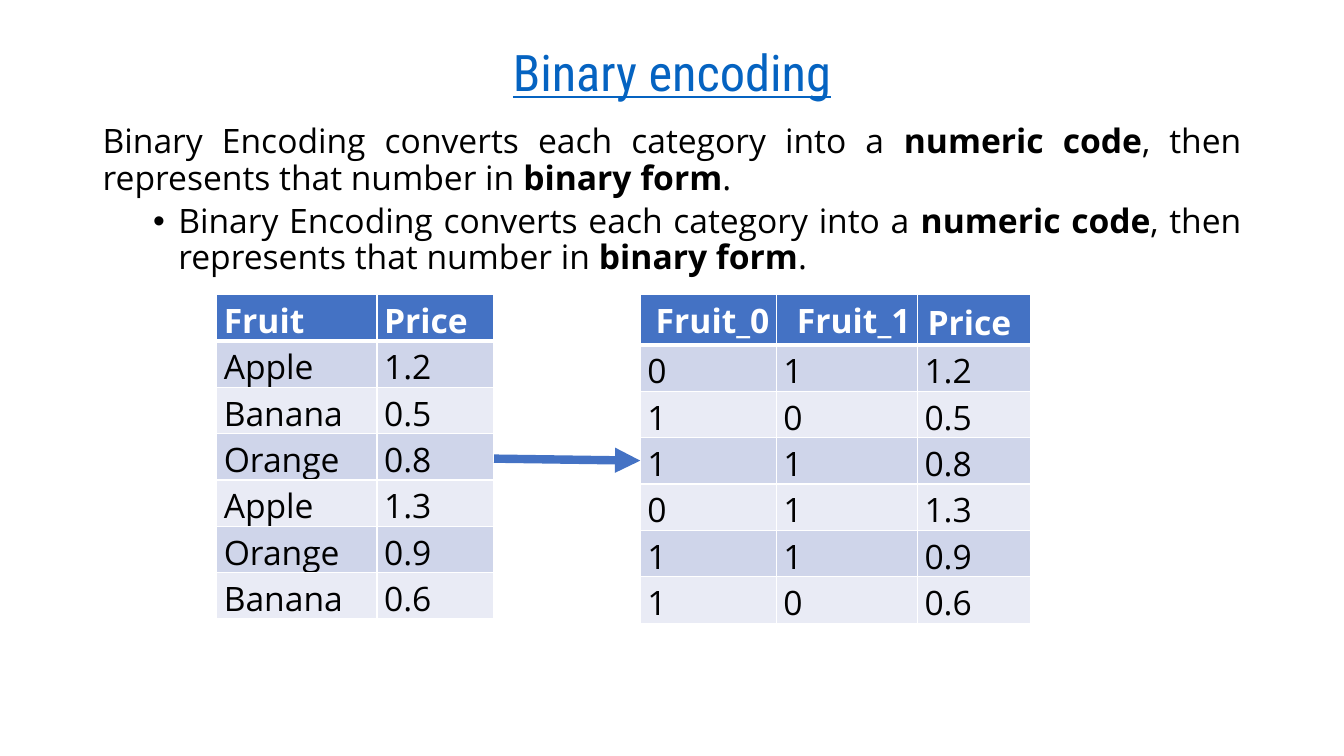
from lxml import etree
from pptx import Presentation
from pptx.dml.color import RGBColor
from pptx.enum.shapes import MSO_CONNECTOR
from pptx.enum.text import MSO_ANCHOR, PP_ALIGN
from pptx.oxml.ns import qn
from pptx.util import Inches, Pt

STRAIGHT = MSO_CONNECTOR.STRAIGHT
MIDDLE, TOP = MSO_ANCHOR.MIDDLE, MSO_ANCHOR.TOP
LEFT, CENTER, RIGHT, JUSTIFY = PP_ALIGN.LEFT, PP_ALIGN.CENTER, PP_ALIGN.RIGHT, PP_ALIGN.JUSTIFY
WHITE = RGBColor(0xFF, 0xFF, 0xFF)
BLACK = RGBColor(0, 0, 0)
LINK_BLUE = RGBColor(0x05, 0x63, 0xC1)
HEADER_BLUE = RGBColor(0x44, 0x72, 0xC4)
BANDS = (RGBColor(0xCF, 0xD5, 0xEA), RGBColor(0xE9, 0xEB, 0xF5))
TITLE_FONT, BODY_FONT = "Roboto Condensed", "Open Sans"

WIDTH, HEIGHT = 13.33, 7.5
MARGIN, TABLE_TOP, ROW_HEIGHT = 0.92, 2.92, 0.41
CONTENT_WIDTH = WIDTH - 2 * MARGIN

DEFINITION = (
    ("Binary Encoding converts each category into a ", False),
    ("numeric code", True),
    (", then represents that number in ", False),
    ("binary form", True),
    (".", False),
)
SALES = (("Apple", "1.2"), ("Banana", "0.5"), ("Orange", "0.8"),
         ("Apple", "1.3"), ("Orange", "0.9"), ("Banana", "0.6"))
CODES = {"Apple": ("0", "1"), "Banana": ("1", "0"), "Orange": ("1", "1")}
FRUIT_ROWS = [("Fruit", "Price"), *SALES]
ENCODED_ROWS = [("Fruit_0", "Fruit_1", "Price")]
ENCODED_ROWS += [(*CODES[fruit], price) for fruit, price in SALES]


def write(para, text, font=BODY_FONT, size=24, color=BLACK, bold=False, underline=False):
    span = para.add_run()
    span.text = text
    span.font.name = font
    span.font.size = Pt(size)
    span.font.color.rgb = color
    span.font.bold = bold
    span.font.underline = underline


def add_frame(page, left, top, width, height, anchor):
    box = page.shapes.add_textbox(Inches(left), Inches(top), Inches(width), Inches(height))
    box.text_frame.word_wrap = True
    box.text_frame.vertical_anchor = anchor
    return box.text_frame


def add_title(page, left, top, width, height):
    para = add_frame(page, left, top, width, height, MIDDLE).paragraphs[0]
    para.alignment = CENTER
    para.line_spacing = 0.9
    write(para, "Binary encoding", font=TITLE_FONT, size=36, color=LINK_BLUE, underline=True)


def add_bullet(para, left, hanging):
    para.level = 1
    props = para._p.get_or_add_pPr()
    props.set("marL", str(Inches(left)))
    props.set("indent", str(-Inches(hanging)))
    etree.SubElement(props, qn("a:buFont"), typeface="Arial")
    etree.SubElement(props, qn("a:buChar"), char="•")


def add_definitions(page, left, top, width, height):
    frame = add_frame(page, left, top, width, height, TOP)
    intro, point = frame.paragraphs[0], frame.add_paragraph()
    for para, space in ((intro, 10), (point, 5)):
        para.alignment = JUSTIFY
        para.line_spacing = 0.9
        para.space_before = Pt(space)
        for text, bold in DEFINITION:
            write(para, text, bold=bold)
    add_bullet(point, 0.75, 0.25)


def set_borders(cell, bottom):
    props = cell._tc.get_or_add_tcPr()
    for side, points in (("L", 1), ("R", 1), ("T", 1), ("B", bottom)):
        line = etree.SubElement(props, qn(f"a:ln{side}"), w=str(Pt(points)))
        fill = etree.SubElement(line, qn("a:solidFill"))
        etree.SubElement(fill, qn("a:srgbClr"), val=str(WHITE))


def fill_cell(cell, text, header, band, align):
    set_borders(cell, 3 if header else 1)
    cell.fill.solid()
    cell.fill.fore_color.rgb = HEADER_BLUE if header else band
    cell.vertical_anchor = MIDDLE
    cell.margin_left = cell.margin_right = Inches(0.07)
    cell.margin_top = cell.margin_bottom = Inches(0.03)
    para = cell.text_frame.paragraphs[0]
    para.alignment = align
    write(para, text, color=WHITE if header else BLACK, bold=header)


def add_data_table(page, left, top, widths, rows):
    table = page.shapes.add_table(
        len(rows), len(widths), Inches(left), Inches(top),
        Inches(sum(widths)), Inches(ROW_HEIGHT * len(rows))).table
    for column, width in zip(table.columns, widths):
        column.width = Inches(width)
    for r, values in enumerate(rows):
        for c, value in enumerate(values):
            align = RIGHT if value.startswith("Fruit_") else LEFT
            fill_cell(table.cell(r, c), value, r == 0, BANDS[(r - 1) % 2], align)
    return table


def add_arrow(page, start, end):
    arrow = page.shapes.add_connector(STRAIGHT, *(Inches(n) for n in (*start, *end)))
    arrow.line.color.rgb = HEADER_BLUE
    arrow.line.width = Pt(6)
    etree.SubElement(arrow.line._get_or_add_ln(), qn("a:tailEnd"), type="triangle")
    etree.SubElement(arrow._element.spPr, qn("a:effectLst"))


def add_encoding(page, left, top):
    fruit_widths, gap = (1.59, 1.16), 1.45
    fruit_right = left + sum(fruit_widths)
    encoded_left = fruit_right + gap
    add_data_table(page, left, top, fruit_widths, FRUIT_ROWS)
    encoded = add_data_table(page, encoded_left, top, (1.35, 1.4, 1.12), ENCODED_ROWS)
    price = encoded.cell(0, 2)
    price.vertical_anchor = TOP
    price.margin_left = price.margin_right = Inches(0.1)
    price.margin_top = price.margin_bottom = Inches(0.05)
    add_arrow(page, (fruit_right, top + 1.63), (encoded_left, top + 1.65))


def main():
    deck = Presentation()
    deck.slide_width, deck.slide_height = Inches(WIDTH), Inches(HEIGHT)
    page = deck.slides.add_slide(deck.slide_layouts[6])
    add_title(page, MARGIN, 0.4, CONTENT_WIDTH, 0.7)
    add_definitions(page, MARGIN, 1.19, CONTENT_WIDTH, 5.56)
    add_encoding(page, 2.15, TABLE_TOP)
    deck.save("out.pptx")


if __name__ == "__main__":
    main()
